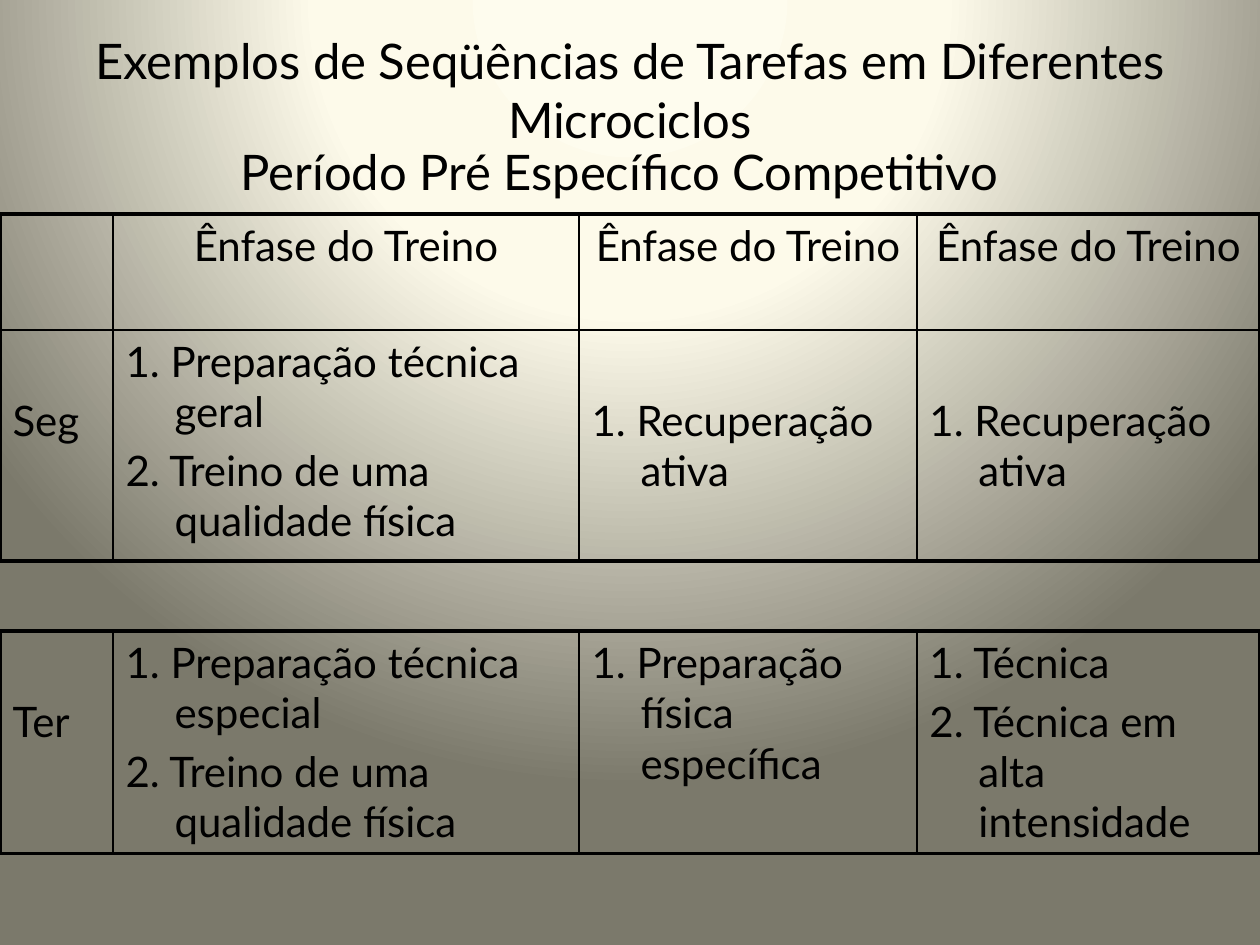
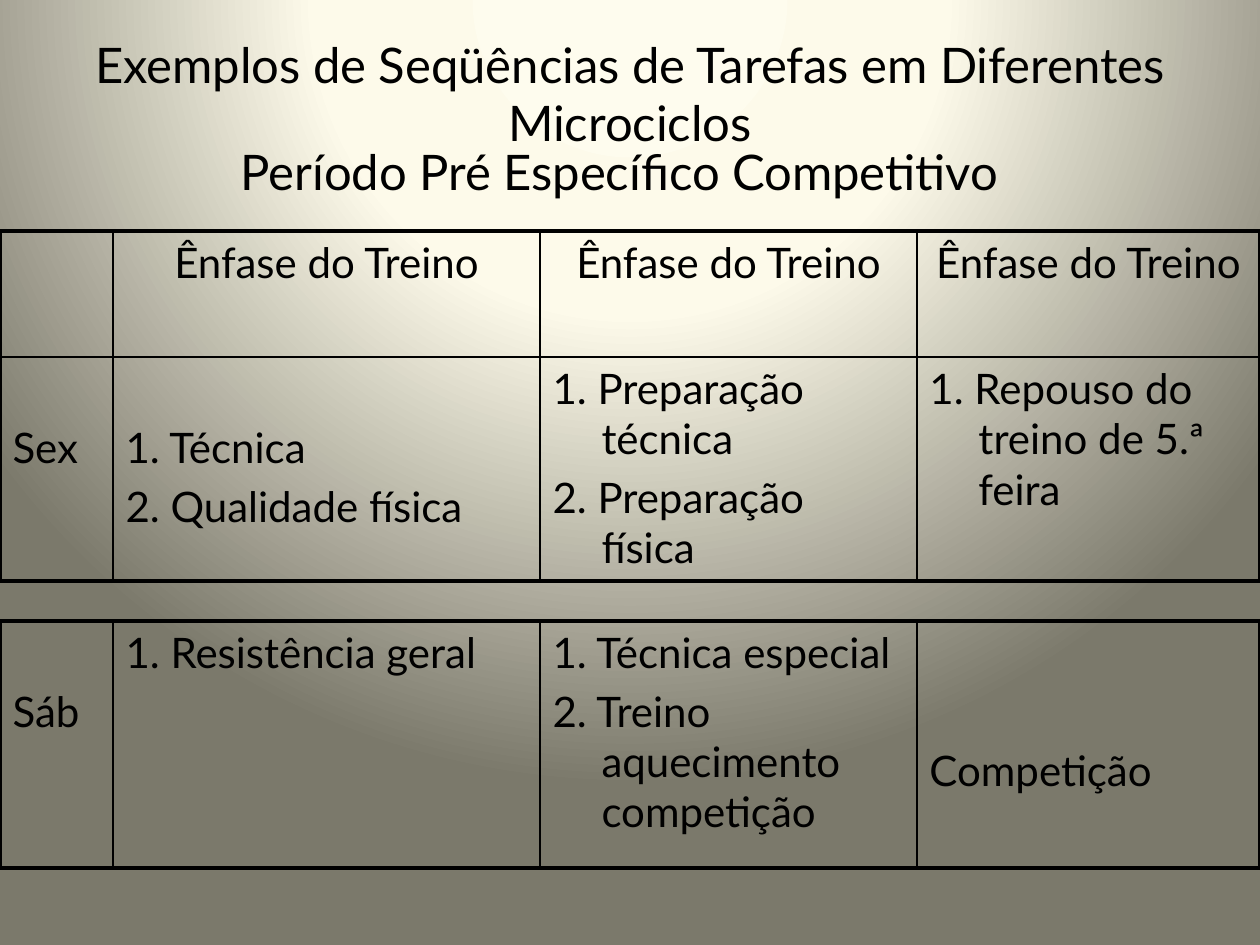
"""Build two slides of weekly training tables for the pre-competition period."""
from lxml.etree import SubElement
from pptx import Presentation
from pptx.dml.color import RGBColor
from pptx.enum.text import MSO_ANCHOR, MSO_AUTO_SIZE, PP_ALIGN
from pptx.oxml import parse_xml
from pptx.oxml.ns import nsdecls, qn
from pptx.util import Emu, Pt

PIXEL = 914400 // 126
SLIDE_SIZE = (1260, 945)
FONT = "Lato"
COLORS = {"text": "000000", "glow": "FEFCEE", "cream": "FDFAEA", "olive": "7B796B"}
GRADIENT = [(0, "glow"), (40, "cream"), (100, "olive")]
BORDERS = {"outer": Pt(2.25), "inner": Pt(1)}
SIZES = {"title": 28, "cell": 24}
ITEM_GAP = Pt(4.8)
HANGING = 49
CELL_INSET = 6
LINE_STEP = 59

TITLE = "Exemplos de Seqüências de Tarefas em Diferentes Microciclos"
SUBTITLE = "Período Pré Específico Competitivo"
SUBTITLE_BOX = (84, 135, 1071, 122)
EMPHASIS = (0, ["Ênfase do Treino"])
HEADER = [(0, []), EMPHASIS, EMPHASIS, EMPHASIS]
RECOVERY = (1, ["1. Recuperação ativa"])

SLIDES = [
    {
        "title_top": 10,
        "columns": [113, 466, 338, 343],
        "tables": [
            {"top": 214, "heights": [116, 231], "rows": [HEADER, [
                (1, ["Seg"]),
                (0, ["1. Preparação técnica geral", "2. Treino de uma qualidade física"]),
                RECOVERY,
                RECOVERY,
            ]]},
            {"top": 631, "heights": [222], "rows": [[
                (1, ["Ter"]),
                (0, ["1. Preparação técnica especial", "2. Treino de uma qualidade física"]),
                (0, ["1. Preparação física específica"]),
                (0, ["1. Técnica", "2. Técnica em alta intensidade"]),
            ]]},
        ],
    },
    {
        "title_top": 14,
        "columns": [113, 427, 377, 343],
        "tables": [
            {"top": 231, "heights": [126, 224], "rows": [HEADER, [
                (1, ["Sex"]),
                (1, ["1. Técnica", "2. Qualidade física"]),
                (0, ["1. Preparação técnica", "2. Preparação física"]),
                (0, ["1. Repouso do treino de 5.ª feira"]),
            ]]},
            {"top": 621, "heights": [247], "rows": [[
                (1, ["Sáb"]),
                (0, ["1. Resistência geral"]),
                (0, ["1. Técnica especial", "2. Treino aquecimento competição"]),
                (2, ["Competição"]),
            ]]},
        ],
    },
]


def pixels(*values):
    return [Emu(value * PIXEL) for value in values]


def apply_format(target, values):
    for name, value in values.items():
        setattr(target, name, value)


def write_paragraphs(frame, texts, size, alignment):
    frame.word_wrap = True
    for index, text in enumerate(texts):
        paragraph = frame.add_paragraph() if index else frame.paragraphs[0]
        apply_format(paragraph, {"alignment": alignment, "space_before": ITEM_GAP if index else Pt(0)})
        run = paragraph.add_run()
        run.text = text
        apply_format(run.font, {"name": FONT, "size": Pt(size)})
        run.font.color.rgb = RGBColor.from_string(COLORS["text"])
        if text[0].isdigit():
            properties = paragraph._p.get_or_add_pPr()
            properties.set("marL", str(HANGING * PIXEL))
            properties.set("indent", str(-HANGING * PIXEL))


def set_background(master):
    master.background.fill.solid()
    stops = "".join(
        f'<a:gs pos="{position * 1000}"><a:srgbClr val="{COLORS[name]}"/></a:gs>'
        for position, name in GRADIENT
    )
    gradient = parse_xml(
        f'<a:gradFill {nsdecls("a")} rotWithShape="1"><a:gsLst>{stops}</a:gsLst>'
        '<a:path path="circle"><a:fillToRect l="50000" t="-80000" r="50000" b="180000"/>'
        "</a:path></a:gradFill>"
    )
    properties = master.element.find(".//" + qn("p:bgPr"))
    properties.replace(properties[0], gradient)


def set_borders(cell, outer_edges):
    properties = cell._tc.get_or_add_tcPr()
    for index, (edge, outer) in enumerate(outer_edges.items()):
        line = SubElement(properties, qn(f"a:ln{edge}"))
        line.set("w", str(BORDERS["outer" if outer else "inner"]))
        fill = SubElement(line, qn("a:solidFill"))
        SubElement(fill, qn("a:srgbClr")).set("val", COLORS["text"])
        properties.insert(index, line)


def add_training_table(slide, columns, content):
    rows, heights = content["rows"], content["heights"]
    box = pixels(0, content["top"], sum(columns), sum(heights))
    table = slide.shapes.add_table(len(rows), len(columns), *box).table
    apply_format(table, {"first_row": False, "horz_banding": False})
    for column, width in zip(table.columns, pixels(*columns)):
        column.width = width
    for row, height in zip(table.rows, pixels(*heights)):
        row.height = height
    for row_index, row in enumerate(rows):
        alignment = PP_ALIGN.CENTER if row is HEADER else PP_ALIGN.LEFT
        for column_index, (skipped_lines, texts) in enumerate(row):
            cell = table.cell(row_index, column_index)
            cell.fill.background()
            cell.margin_top = Emu((CELL_INSET + skipped_lines * LINE_STEP) * PIXEL)
            write_paragraphs(cell.text_frame, texts, SIZES["cell"], alignment)
            set_borders(cell, {
                "L": column_index == 0,
                "R": column_index == len(columns) - 1,
                "T": row_index == 0,
                "B": row_index == len(rows) - 1,
            })


def add_slide(presentation, content):
    slide = presentation.slides.add_slide(presentation.slide_layouts[5])
    title = slide.shapes.title
    left, top, width, height = pixels(63, content["title_top"], 1134, 158)
    apply_format(title, {"left": left, "top": top, "width": width, "height": height})
    apply_format(title.text_frame, {"auto_size": MSO_AUTO_SIZE.NONE, "vertical_anchor": MSO_ANCHOR.MIDDLE})
    write_paragraphs(title.text_frame, [TITLE], SIZES["title"], PP_ALIGN.CENTER)
    for table in content["tables"]:
        add_training_table(slide, content["columns"], table)
    subtitle = slide.shapes.add_textbox(*pixels(*SUBTITLE_BOX))
    write_paragraphs(subtitle.text_frame, [SUBTITLE], SIZES["title"], PP_ALIGN.CENTER)


presentation = Presentation()
presentation.slide_width, presentation.slide_height = Emu(9144000), Emu(6858000)
presentation.slide_width, presentation.slide_height = pixels(*SLIDE_SIZE)
set_background(presentation.slide_master)
for slide_content in SLIDES:
    add_slide(presentation, slide_content)
presentation.save("out.pptx")
